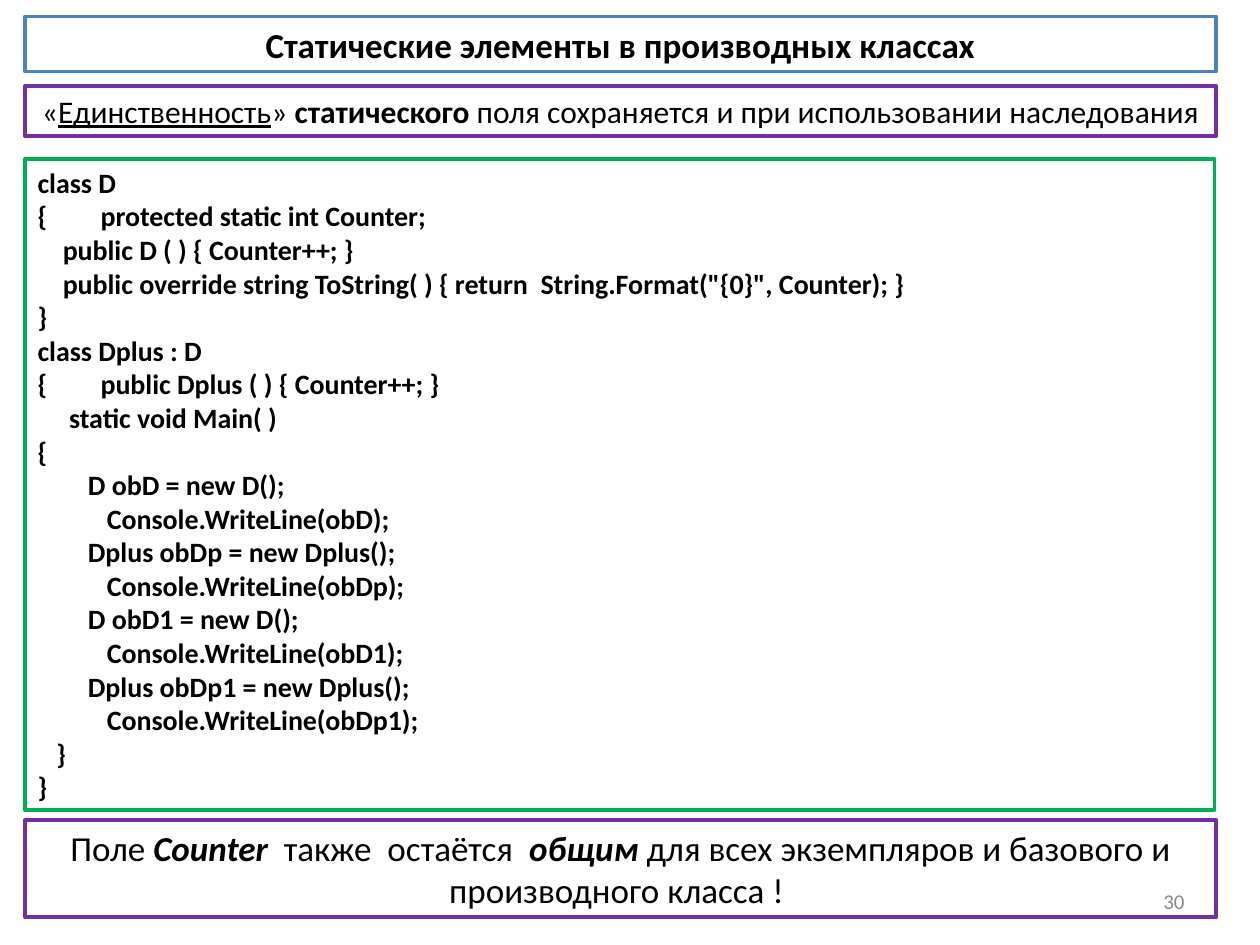
from lxml import etree
from pptx import Presentation
from pptx.dml.color import RGBColor
from pptx.enum.shapes import MSO_SHAPE
from pptx.enum.text import MSO_ANCHOR, MSO_AUTO_SIZE, PP_ALIGN
from pptx.oxml.ns import qn
from pptx.util import Inches, Pt

RECT = MSO_SHAPE.RECTANGLE
MIDDLE = MSO_ANCHOR.MIDDLE
GROW = MSO_AUTO_SIZE.SHAPE_TO_FIT_TEXT
LEFT, CENTER, RIGHT = PP_ALIGN.LEFT, PP_ALIGN.CENTER, PP_ALIGN.RIGHT

WIDE, HIGH = Inches(10), Inches(7.5)
COLORS = {"blue": "4F81BD", "violet": "7030A0", "green": "00B050",
          "black": "000000", "gray": "898989"}
STYLES = {"plain": {}, "bold": {"bold": True}, "under": {"underline": True},
          "strong": {"bold": True, "italic": True}}
SPACE = 0.05  # inches of indent for one code column

# Each code line: indent in columns, then text
CODE = [
    (0, "class D"),
    (0, "{\tprotected static int Counter;"),
    (4, "public D ( ) { Counter++; }"),
    (4, 'public override string ToString( ) { return  String.Format("{0}", Counter); }'),
    (0, "}"),
    (0, "class Dplus : D"),
    (0, "{\tpublic Dplus ( ) { Counter++; }"),
    (5, "static void Main( )"),
    (0, "{"),
    (8, "D obD = new D();"),
    (11, "Console.WriteLine(obD);"),
    (8, "Dplus obDp = new Dplus();"),
    (11, "Console.WriteLine(obDp);"),
    (8, "D obD1 = new D();"),
    (11, "Console.WriteLine(obD1);"),
    (8, "Dplus obDp1 = new Dplus();"),
    (11, "Console.WriteLine(obDp1);"),
    (3, "}"),
    (0, "}"),
]


def color(name):
    return RGBColor.from_string(COLORS[name])


def scale(box):
    """Turn percent shares of the slide into lengths."""
    return [int(side * share / 100)
            for side, share in zip((WIDE, HIGH, WIDE, HIGH), box)]


def frame(slide, box, tint, width):
    shape = slide.shapes.add_shape(RECT, *scale(box))
    shape.shadow.inherit = False
    shape.fill.background()
    shape.line.color.rgb = color(tint)
    shape.line.width = Pt(width)
    text = shape.text_frame
    text.word_wrap = True
    text.auto_size = GROW
    text.vertical_anchor = MIDDLE
    return text


def write(para, parts, size, align=LEFT, tint="black"):
    para.alignment = align
    for words, style in parts:
        run = para.add_run()
        run.text = words
        run.font.color.rgb = color(tint)
        values = {"name": "Calibri", "size": Pt(size), **STYLES[style]}
        for key, value in values.items():
            setattr(run.font, key, value)


def banner(slide, box, tint, width, size, parts):
    text = frame(slide, box, tint, width)
    write(text.paragraphs[0], parts, size, CENTER)


def listing(slide, box):
    text = frame(slide, box, "green", 2)
    for row, (indent, line) in enumerate(CODE):
        para = text.add_paragraph() if row else text.paragraphs[0]
        write(para, [(line, "bold")], 16)
        props = para._p.get_or_add_pPr()
        props.set("marL", str(Inches(indent * SPACE)))
        props.set("indent", "0")
        if "\t" in line:
            tabs = etree.SubElement(props, qn("a:tabLst"))
            etree.SubElement(tabs, qn("a:tab"), pos=str(Inches(0.23)), algn="l")


def number(slide, box, value):
    text = slide.shapes.add_textbox(*scale(box)).text_frame
    text.word_wrap = True
    text.vertical_anchor = MIDDLE
    write(text.paragraphs[0], [(value, "plain")], 12, RIGHT, "gray")


def main():
    deck = Presentation()
    deck.slide_width, deck.slide_height = WIDE, HIGH
    slide = deck.slides.add_slide(deck.slide_layouts[6])

    # Code and page number
    listing(slide, (2, 16.8, 94.4, 68.93))
    number(slide, (71.7, 92.67, 23.3, 5.33), "30")

    # Title
    banner(slide, (2, 1.73, 94.5, 5.87), "blue", 2, 20,
           [("Статические элементы в производных классах", "bold")])

    # Rule above the code
    banner(slide, (2, 9.07, 94.5, 5.33), "violet", 2.25, 18, [
        ("«", "plain"), ("Единственность", "under"), ("» ", "plain"),
        ("статического", "bold"),
        (" поля сохраняется и при использовании наследования", "plain")])

    # Conclusion below the code
    banner(slide, (2, 86.8, 94.5, 10.27), "violet", 2.25, 20, [
        ("Поле ", "plain"), ("Counter ", "strong"),
        (" также  остаётся  ", "plain"), ("общим", "strong"),
        (" для всех экземпляров и базового и производного класса ! ", "plain")])

    deck.save("out.pptx")


if __name__ == "__main__":
    main()
